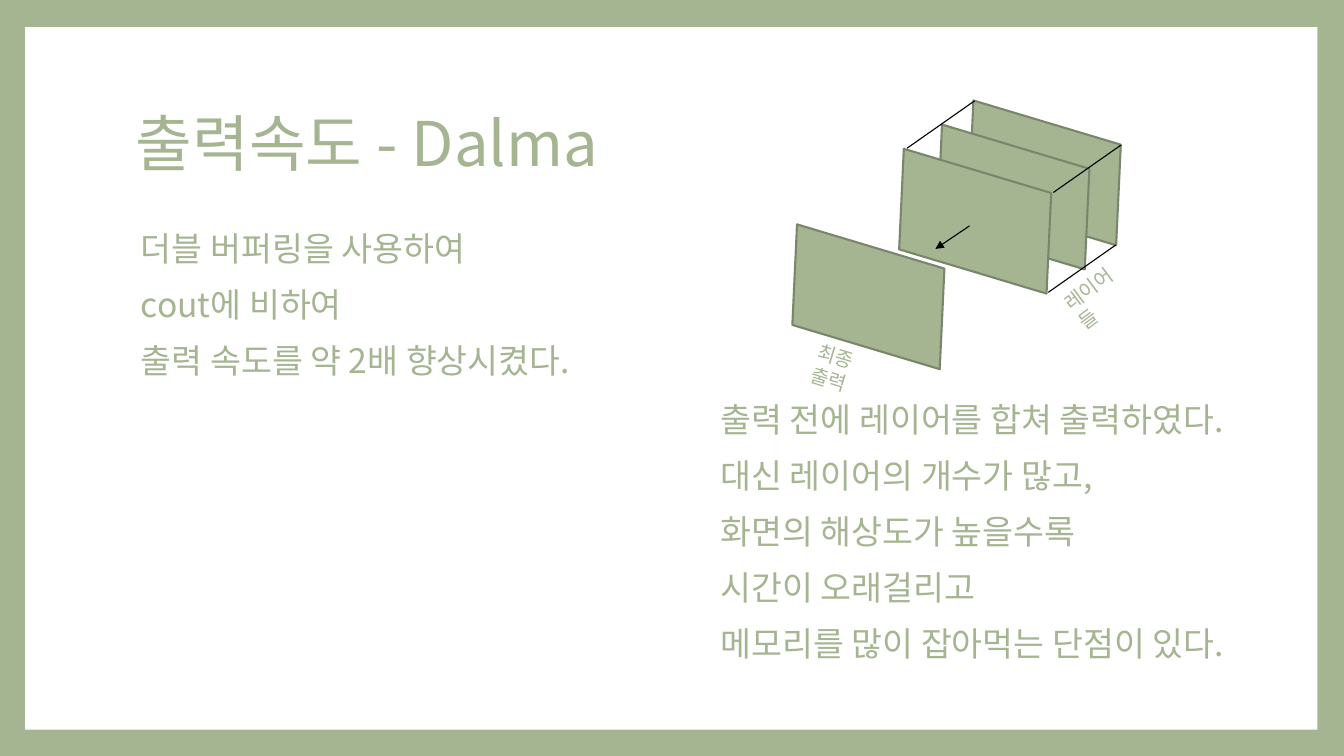
from lxml.etree import SubElement
from pptx import Presentation
from pptx.dml.color import RGBColor
from pptx.enum.shapes import MSO_CONNECTOR as Connector, MSO_SHAPE as Shape
from pptx.enum.text import MSO_ANCHOR as Anchor
from pptx.oxml.ns import qn
from pptx.util import Pt

# Content
TITLE = "출력속도 - Dalma"
SPEED_NOTES = [
    "더블 버퍼링을 사용하여",
    "cout에 비하여",
    "출력 속도를 약 2배 향상시켰다.",
]
LAYER_NOTES = [
    "출력 전에 레이어를 합쳐 출력하였다.",
    "대신 레이어의 개수가 많고,",
    "화면의 해상도가 높을수록",
    "시간이 오래걸리고",
    "메모리를 많이 잡아먹는 단점이 있다.",
]
LABELS = [  # text, left, top, width, rotation
    ("최종 출력", 576.7, 245.5, 63.4, 16.8),
    ("레이어들", 750.2, 191.5, 61.2, 323.2),
]

# Layout, in points
COLORS = {"sage": "A5B592", "edge": "7A866C", "paper": "FFFFFF", "ink": "000000"}
FONT = "Noto Sans CJK KR"
PLANE_SIZE = (127.4, 69.8)
PLANE_TILT = 16.7
PLANES = [(682.6, 88.6), (660.2, 105.8), (632.9, 123.1), (556.6, 177.1)]
DEPTH = (-48.2, 33.8)  # from the back layer to the front layer
BACK_CORNERS = [(696.2, 72), (800.6, 103.7), (797, 175)]
ARROW = (692.6, 161.3, 668.2, 177.8)


def color(name):
    return RGBColor.from_string(COLORS[name])


def add_text(parent, lines, box, size, line_height, gap=0, indent=0,
             anchor=Anchor.TOP):
    textbox = parent.add_textbox(*map(Pt, box))
    frame = textbox.text_frame
    frame.word_wrap = True
    frame.vertical_anchor = anchor
    frame.text = "\n".join(lines)
    for paragraph in frame.paragraphs:
        paragraph.line_spacing = Pt(line_height)
        paragraph.space_before = Pt(gap)
        font = paragraph.font
        font.size, font.name = Pt(size), FONT
        font.color.rgb = color("sage")
        # East Asian typeface and left margin
        properties = paragraph._p.get_or_add_pPr()
        properties.set("marL", str(Pt(indent)))
        SubElement(properties.find(qn("a:defRPr")), qn("a:ea"), typeface=FONT)
    return textbox


def add_plane(parent, left, top):
    plane = parent.add_shape(Shape.PARALLELOGRAM, Pt(left), Pt(top),
                             *map(Pt, PLANE_SIZE))
    plane.shadow.inherit = False
    plane.fill.solid()
    plane.fill.fore_color.rgb = color("sage")
    plane.line.color.rgb = color("edge")
    plane.line.width = Pt(1.5)
    plane.rotation = PLANE_TILT
    plane._element.spPr.xfrm.set("flipV", "1")


def add_line(parent, points, arrow=False):
    line = parent.add_connector(Connector.STRAIGHT, *map(Pt, points))
    line.line.color.rgb = color("ink")
    line.line.width = Pt(0.79)
    if arrow:
        SubElement(line.line._get_or_add_ln(), qn("a:tailEnd"), type="triangle")
    SubElement(line._element.spPr, qn("a:effectLst"))


def main():
    deck = Presentation()
    deck.slide_width, deck.slide_height = Pt(960), Pt(540)
    slide = deck.slides.add_slide(deck.slide_layouts[6])
    shapes = slide.shapes

    # Sage border around white paper
    slide.background.fill.solid()
    slide.background.fill.fore_color.rgb = color("sage")
    paper = shapes.add_shape(Shape.RECTANGLE, Pt(18), Pt(19.4), Pt(923), Pt(501.8))
    paper.shadow.inherit = False
    paper.fill.solid()
    paper.fill.fore_color.rgb = color("paper")
    paper.line.fill.background()

    # Title and left-hand notes
    add_text(shapes, [TITLE], (90, 48.2, 777.6, 106.6), 44, 52, anchor=Anchor.MIDDLE)
    add_text(shapes, SPEED_NOTES, (90, 162, 811.4, 318.2), 24, 26, gap=14, indent=3.6)

    # Layer diagram
    diagram = shapes.add_group_shape().shapes
    for left, top in PLANES:
        add_plane(diagram, left, top)
    for text, left, top, width, rotation in LABELS:
        label = add_text(diagram, [text], (left, top, width, 24.5), 14, 17)
        label.rotation = rotation
    for x, y in BACK_CORNERS:
        add_line(diagram, (x, y, x + DEPTH[0], y + DEPTH[1]))
    add_line(diagram, ARROW, arrow=True)

    # Right-hand notes
    add_text(shapes, LAYER_NOTES, (504, 284.4, 403.2, 215.3), 24, 26, gap=14, indent=3.6)

    deck.save("out.pptx")


if __name__ == "__main__":
    main()
